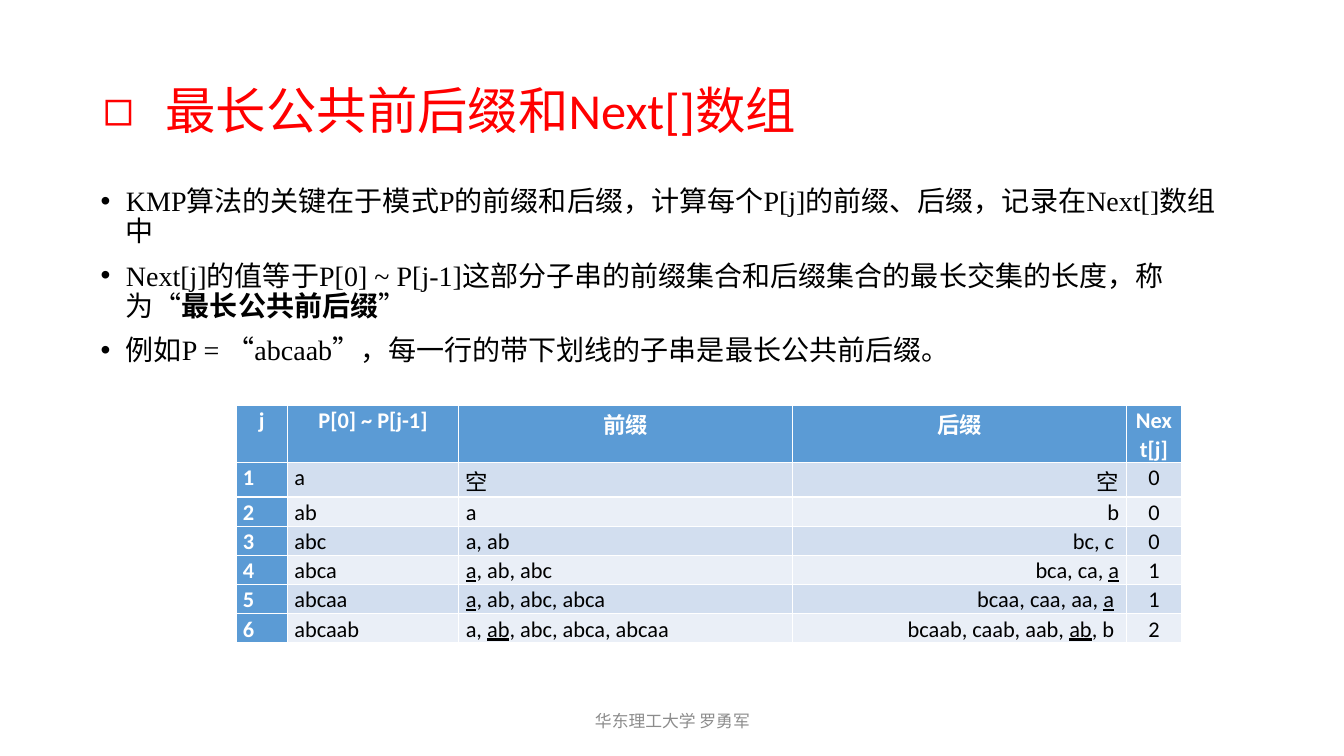
from pptx import Presentation
from pptx.dml.color import RGBColor
from pptx.enum.text import MSO_ANCHOR, PP_ALIGN
from pptx.oxml.ns import qn
from pptx.util import Inches, Pt
from lxml.etree import SubElement

COLORS = {
    "title": "FF0000", "text": "000000", "footer": "8C8C8C", "white": "FFFFFF",
    "header": "5B9BD5", "odd": "D2DEEF", "even": "EAEFF7",
}


def write(p, text, size=16, font="Calibri", color="text", bold=False,
          align=PP_ALIGN.LEFT, spacing=1.0, before=0, bullet=None, indent=0,
          emphasis="underline"):
    p.alignment = align
    p.line_spacing = spacing
    p.space_before = Pt(before)
    if bullet:
        pPr = p._p.get_or_add_pPr()
        pPr.set("marL", str(Inches(indent)))
        pPr.set("indent", str(-Inches(indent)))
        SubElement(pPr, qn("a:buFont")).set("typeface", "Arial")
        SubElement(pPr, qn("a:buChar")).set("char", bullet)
    for i, part in enumerate(text.split("|")):
        if not part:
            continue
        r = p.add_run()
        r.text = part
        r.font.size = Pt(size)
        r.font.name = font
        r.font.bold = bold
        r.font.color.rgb = RGBColor.from_string(COLORS[color])
        if i % 2:
            setattr(r.font, emphasis, True)


prs = Presentation()
prs.slide_width, prs.slide_height = Inches(13.33), Inches(7.5)
s = prs.slides.add_slide(prs.slide_layouts[5])

title = s.shapes.title
title.left, title.top = Inches(0.92), Inches(0.4)
title.width, title.height = Inches(11.5), Inches(1.45)
title.text_frame.vertical_anchor = MSO_ANCHOR.MIDDLE
write(title.text_frame.paragraphs[0], "最长公共前后缀和Next[]数组", size=36,
      color="title", spacing=0.9, bullet="◻", indent=0.62)

body = s.shapes.add_textbox(Inches(0.9), Inches(1.81), Inches(11.5), Inches(4.76))
tf = body.text_frame
tf.word_wrap = True
points = [
    "KMP算法的关键在于模式P的前缀和后缀，计算每个P[j]的前缀、后缀，记录在Next[]数组中",
    "Next[j]的值等于P[0] ~ P[j-1]这部分子串的前缀集合和后缀集合的最长交集的长度，称为“|最长公共前后缀|”",
    "例如P = “abcaab”，每一行的带下划线的子串是最长公共前后缀。",
]
for i, point in enumerate(points):
    p = tf.add_paragraph() if i else tf.paragraphs[0]
    write(p, point, size=20, font="Times New Roman", spacing=0.9,
          before=10 if i else 0, bullet="•", indent=0.25, emphasis="bold")

footer = s.shapes.add_textbox(Inches(4.42), Inches(6.95), Inches(4.5), Inches(0.4))
footer.text_frame.word_wrap = True
footer.text_frame.vertical_anchor = MSO_ANCHOR.MIDDLE
write(footer.text_frame.paragraphs[0], "华东理工大学 罗勇军", size=12,
      color="footer", align=PP_ALIGN.CENTER)

rows = [
    ["j", "P[0] ~ P[j-1]", "前缀", "后缀", "Next[j]"],
    ["1", "a", "空", "空", "0"],
    ["2", "ab", "a", "b", "0"],
    ["3", "abc", "a, ab", "bc, c ", "0"],
    ["4", "abca", "|a|, ab, abc", "bca, ca, |a|", "1"],
    ["5", "abcaa", "|a|, ab, abc, abca", "bcaa, caa, aa, |a| ", "1"],
    ["6", "abcaab", "a, |ab|, abc, abca, abcaa", "bcaab, caab, aab, |ab|, b ", "2"],
]
widths = [0.51, 1.7, 3.31, 3.31, 0.55]
heights = [0.57, 0.34] + [0.29] * 5
aligns = [PP_ALIGN.JUSTIFY] * 3 + [PP_ALIGN.RIGHT, PP_ALIGN.CENTER]
table = s.shapes.add_table(len(rows), len(widths), Inches(2.34), Inches(4.02),
                           Inches(sum(widths)), Inches(sum(heights))).table
table.first_col = True
for column, width in zip(table.columns, widths):
    column.width = Inches(width)
for i, (row, height) in enumerate(zip(rows, heights)):
    table.rows[i].height = Inches(height)
    for j, text in enumerate(row):
        cell = table.cell(i, j)
        cell.margin_left = cell.margin_right = Inches(0.07)
        cell.margin_top = cell.margin_bottom = 0
        heading = i == 0 or j == 0
        fill = "header" if heading else "odd" if i % 2 else "even"
        cell.fill.solid()
        cell.fill.fore_color.rgb = RGBColor.from_string(COLORS[fill])
        write(cell.text_frame.paragraphs[0], text, bold=heading,
              color="white" if heading else "text", spacing=1.07,
              align=aligns[j] if i else PP_ALIGN.CENTER)

prs.save("out.pptx")
